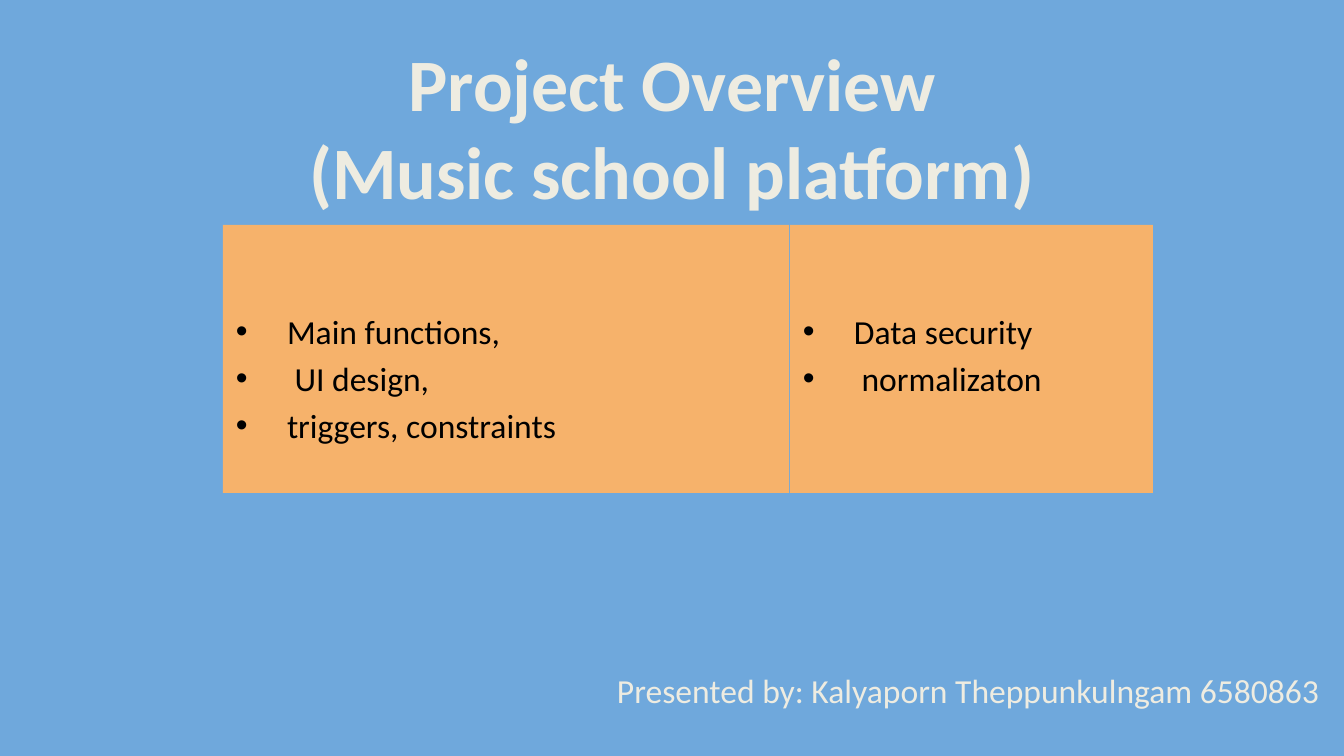
from dataclasses import dataclass

from lxml.etree import SubElement
from pptx import Presentation
from pptx.dml.color import RGBColor
from pptx.enum.shapes import MSO_SHAPE
from pptx.enum.text import MSO_ANCHOR, MSO_AUTO_SIZE, PP_ALIGN
from pptx.oxml.ns import qn
from pptx.util import Pt

EMU_PER_PX = 914400 / 134.4


@dataclass(frozen=True)
class Theme:
    """Hold the colours, font and type sizes of the deck."""
    font: str = "Calibri"
    background: str = "6FA8DC"
    panel: str = "F6B26B"
    light: str = "EEECE1"
    dark: str = "000000"
    title_size: float = 39.6
    text_size: float = 18
    bullet_gap: float = 3.6


THEME = Theme()


def px(length):
    """Turn a length in px into EMU."""
    return round(length * EMU_PER_PX)


def place(shape, box):
    """Move and size a shape to its box."""
    shape.left, shape.top, shape.width, shape.height = map(px, box)


def set_frame(frame, anchor, side=13, top=7, bottom=7):
    """Set wrapping, anchor and insets of a text frame."""
    frame.word_wrap = True
    frame.auto_size = MSO_AUTO_SIZE.NONE
    frame.vertical_anchor = anchor
    frame.margin_left = frame.margin_right = px(side)
    frame.margin_top, frame.margin_bottom = px(top), px(bottom)


def add_bullet(para, indent=51):
    """Give a paragraph a hanging round bullet."""
    properties = para._p.get_or_add_pPr()
    properties.set("marL", str(px(indent)))
    properties.set("indent", str(-px(indent)))
    colour = SubElement(properties, qn("a:buClr"))
    SubElement(colour, qn("a:srgbClr"), val=THEME.dark)
    SubElement(properties, qn("a:buFont"), typeface="Arial")
    SubElement(properties, qn("a:buChar"), char="•")


def write(frame, lines, *, size, color, bold=False, align=PP_ALIGN.LEFT, gap=0, bullet=False):
    """Write lines as paragraphs, with the gap between them."""
    for index, line in enumerate(lines):
        para = frame.add_paragraph() if index else frame.paragraphs[0]
        para.alignment = align
        para.space_before = Pt(gap if index else 0)
        if bullet:
            add_bullet(para)
        span = para.add_run()
        span.text = line
        span.font.name = THEME.font
        span.font.size = Pt(size)
        span.font.bold = bold
        span.font.color.rgb = RGBColor.from_string(color)


def fill_title(page, box, lines):
    """Place the page title and write its lines."""
    title = page.shapes.title
    place(title, box)
    set_frame(title.text_frame, MSO_ANCHOR.MIDDLE)
    write(title.text_frame, lines, size=THEME.title_size, color=THEME.light,
          bold=True, align=PP_ALIGN.CENTER)


def add_panel(page, box, topics):
    """Add a filled panel with a bulleted list of topics."""
    panel = page.shapes.add_shape(MSO_SHAPE.RECTANGLE, *map(px, box))
    panel.shadow.inherit = False
    panel.fill.solid()
    panel.fill.fore_color.rgb = RGBColor.from_string(THEME.panel)
    panel.line.fill.background()
    set_frame(panel.text_frame, MSO_ANCHOR.TOP, top=86)
    write(panel.text_frame, topics, size=THEME.text_size, color=THEME.dark,
          gap=THEME.bullet_gap, bullet=True)


def add_presenter(page, box, credit):
    """Add the line that names the presenter."""
    label = page.shapes.add_textbox(*map(px, box))
    set_frame(label.text_frame, MSO_ANCHOR.TOP, top=13, bottom=13)
    write(label.text_frame, [credit], size=THEME.text_size, color=THEME.light)


def build_overview(deck):
    """Build the project overview page."""
    page = deck.slides.add_slide(deck.slide_layouts[5])
    page.background.fill.solid()
    page.background.fill.fore_color.rgb = RGBColor.from_string(THEME.background)
    fill_title(page, (67, 63, 1210, 126), ["Project Overview", "(Music school platform)"])
    panels = [
        (566, ["Main functions,", " UI design,", "triggers, constraints"]),
        (363, ["Data security", " normalizaton"]),
    ]
    left = 223
    for width, topics in panels:
        add_panel(page, (left, 225, width, 268), topics)
        left += width + 1
    add_presenter(page, (604, 657, 903, 44), "Presented by: Kalyaporn Theppunkulngam 6580863")


def main():
    """Create the deck and save it."""
    deck = Presentation()
    deck.slide_width, deck.slide_height = px(1344), px(756)
    build_overview(deck)
    deck.save("out.pptx")


if __name__ == "__main__":
    main()
